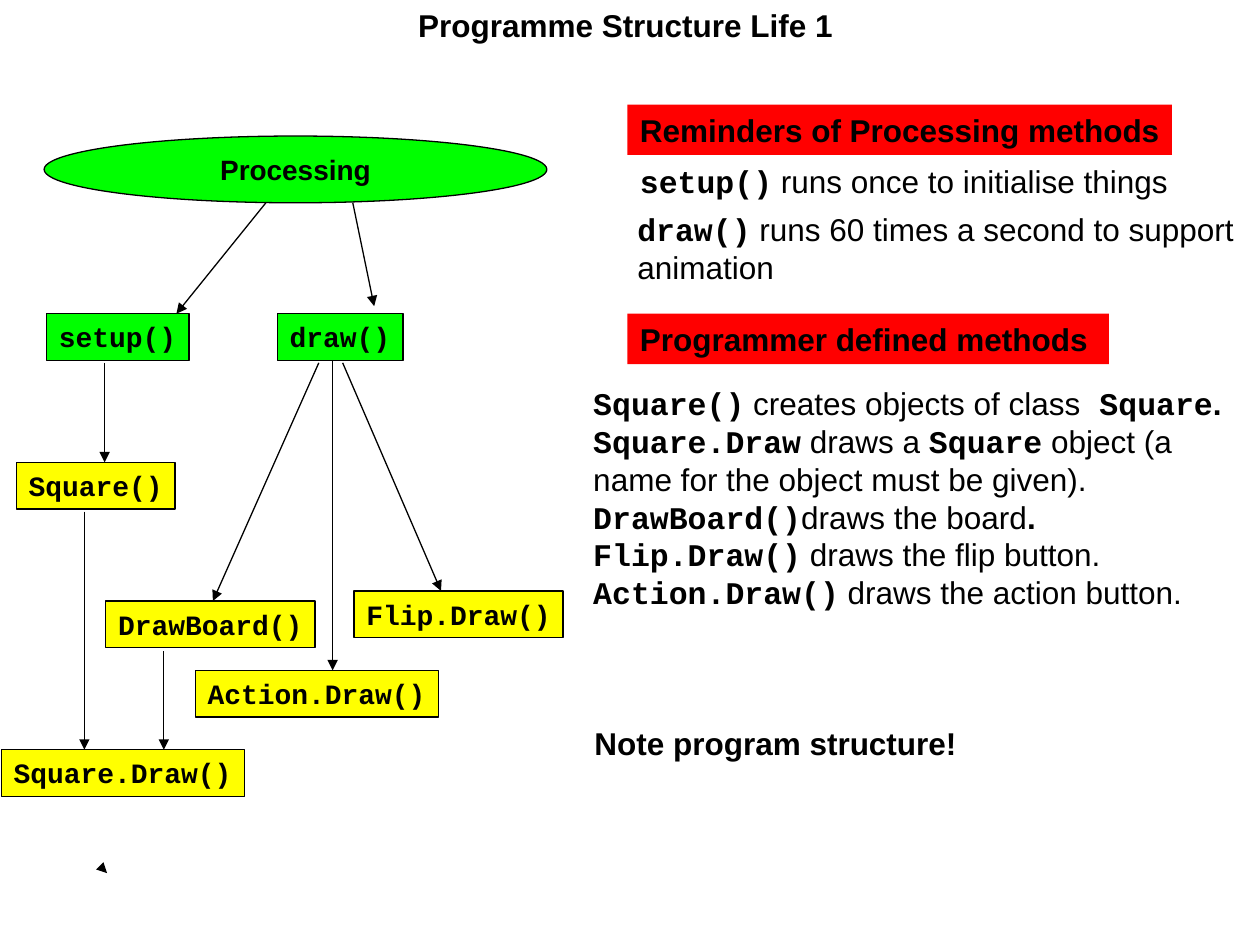
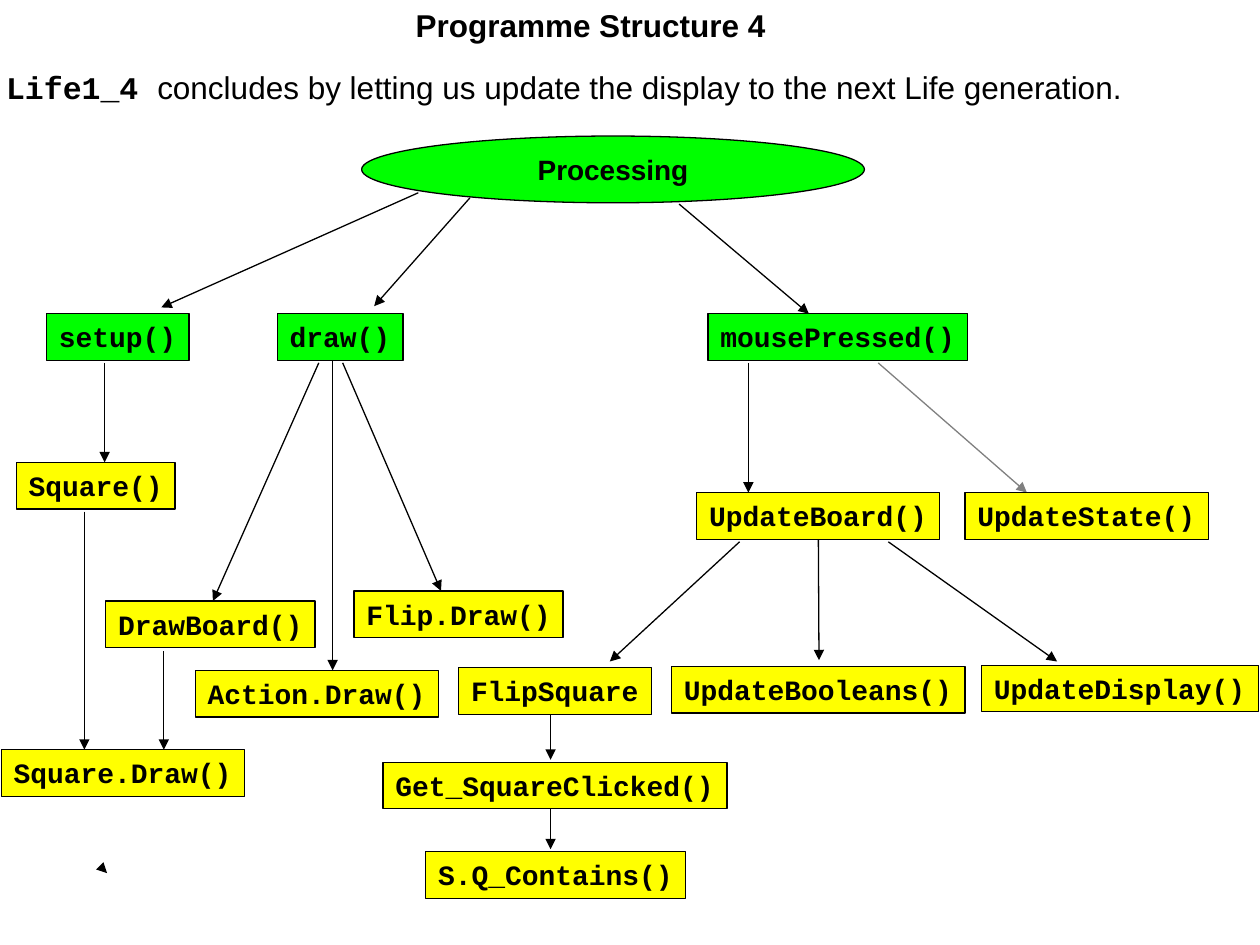
import pptx
import pptx.dml.color
import pptx.enum.shapes
import pptx.enum.text
import pptx.oxml
import pptx.oxml.ns
import pptx.util

PX = 9144  # 100 px to the inch
BLACK, GREY, GREEN, YELLOW, RED = "000000", "808080", "00FF00", "FFFF00", "FF0000"
CODE = ("Courier New", True)
PLAIN = ("Arial", False)
STRONG = ("Arial", True)
SHAPES = pptx.enum.shapes.MSO_SHAPE
NODE_HEIGHT = 37


def emu(*lengths):
    return [length * PX for length in lengths]


def colour(value):
    return pptx.dml.color.RGBColor.from_string(value)


def write(shape, paragraphs, size=18, style=STRONG, align="LEFT", anchor="TOP",
          one_line=True):
    """Fill a shape with text: one string, or paragraphs made of (text, style) spans.

    One-line text gives up its right margin, so that it never breaks in a tight box.
    """
    if isinstance(paragraphs, str):
        paragraphs = [[(paragraphs, style)]]
    frame = shape.text_frame
    frame.word_wrap = True
    frame.auto_size = pptx.enum.text.MSO_AUTO_SIZE.NONE
    frame.vertical_anchor = pptx.enum.text.MSO_ANCHOR[anchor]
    if one_line:
        frame.margin_right = 0
    for index, spans in enumerate(paragraphs):
        para = frame.add_paragraph() if index else frame.paragraphs[0]
        para.alignment = pptx.enum.text.PP_ALIGN[align]
        for text, (font, bold) in spans:
            span = para.add_run()
            span.text = text
            span.font.name = font
            span.font.bold = bold
            span.font.size = pptx.util.Pt(size)
            span.font.color.rgb = colour(BLACK)


def add_text(page, box, paragraphs, **text_format):
    write(page.shapes.add_textbox(*emu(*box)), paragraphs, **text_format)


def add_block(page, box, text, fill, kind=SHAPES.RECTANGLE, outlined=True, **text_format):
    block = page.shapes.add_shape(kind, *emu(*box))
    block.shadow.inherit = False
    block.fill.solid()
    block.fill.fore_color.rgb = colour(fill)
    if outlined:
        block.line.color.rgb = colour(BLACK)
        block.line.width = pptx.util.Pt(0.75)
    else:
        block.line.fill.background()
    write(block, text, **text_format)
    return block


def add_arrow(page, left, top, ends, line=BLACK):
    """Draw an arrow whose ends are measured from (left, top)."""
    start_x, start_y, end_x, end_y = ends
    arrow = page.shapes.add_connector(
        pptx.enum.shapes.MSO_CONNECTOR.STRAIGHT,
        *emu(left + start_x, top + start_y, left + end_x, top + end_y))
    arrow.line.color.rgb = colour(line)
    arrow.line.width = pptx.util.Pt(0.75)
    properties = arrow._element.spPr
    head = pptx.oxml.parse_xml(f'<a:tailEnd {pptx.oxml.ns.nsdecls("a")} type="triangle"/>')
    properties.find(pptx.oxml.ns.qn("a:ln")).append(head)
    properties.append(pptx.oxml.parse_xml(f'<a:effectLst {pptx.oxml.ns.nsdecls("a")}/>'))
    return arrow


def add_methods(page, left, top, methods):
    """Add a box per method, as wide as its name; the top row is called by Processing."""
    boxes = {}
    for name, (x, y) in methods.items():
        width = 20 + len(name) * 40 // 3
        boxes[name] = add_block(page, (left + x, top + y, width, NODE_HEIGHT), name,
                                YELLOW if y else GREEN, size=16, style=CODE)
    return boxes


def add_processing(page, left, top, arrows):
    add_block(page, (left, top, 399, 53), "Processing", GREEN, kind=SHAPES.OVAL,
              size=16, align="CENTER", anchor="MIDDLE", one_line=False)
    for ends in arrows:
        add_arrow(page, left, top, ends)


def add_setup_and_draw(page, left, top):
    for ends in [(264, 32, 264, 283), (253, 39, 169, 228), (272, 39, 350, 220),
                 (83, 39, 83, 118), (67, 157, 67, 346), (130, 268, 130, 346),
                 (84, 443, 85, 444)]:
        add_arrow(page, left, top, ends)
    add_methods(page, left, top, {
        "setup()": (37, 0), "draw()": (220, 0), "Square()": (13, 118),
        "DrawBoard()": (84, 228), "Flip.Draw()": (281, 220),
        "Action.Draw()": (155, 283), "Square.Draw()": (1, 346)})


def add_mouse_pressed(page, left, top):
    for ends in [(133, 386, 133, 425), (133, 315, 133, 354), (290, 39, 290, 142),
                 (283, 181, 180, 276), (401, 181, 535, 276)]:
        add_arrow(page, left, top, ends)
    add_arrow(page, left, top, (393, 39, 511, 142), line=GREY)
    boxes = add_methods(page, left, top, {
        "mousePressed()": (258, 0), "UpdateBoard()": (249, 142),
        "UpdateState()": (462, 142), "FlipSquare": (60, 281),
        "UpdateBooleans()": (229, 280), "UpdateDisplay()": (475, 279),
        "Get_SquareClicked()": (0, 356), "S.Q_Contains()": (34, 427)})
    to_booleans = add_arrow(page, left, top, (346, 179, 346, 275))
    to_booleans.begin_connect(boxes["UpdateBoard()"], 2)


def add_reminders(page, left, top):
    add_block(page, (left, top, 432, 40), "Reminders of Processing methods", RED,
              outlined=False)
    add_text(page, (left, top + 41, 439, 40),
             [[("setup()", CODE), (" runs once to initialise things", PLAIN)]])
    add_text(page, (left - 2, top + 79, 504, 70),
             [[("draw()", CODE), (" runs 60 times a second to support animation", PLAIN)]],
             one_line=False)


def add_defined_methods(page, left, top):
    add_block(page, (left + 37, top, 382, 40), "Programmer defined methods", RED,
              outlined=False)
    add_text(page, (left, top + 51, 535, 220), [
        [("Square()", CODE), (" creates objects of class", PLAIN), (" Square", CODE),
         (". ", STRONG), ("Square.Draw", CODE), (" draws a ", PLAIN), ("Square", CODE),
         (" object (a name for the object must be given).", PLAIN)],
        [("DrawBoard()", CODE), ("draws the board", PLAIN), (".", STRONG)],
        [("Flip.Draw()", CODE), (" draws the flip button.", PLAIN)],
        [("Action.Draw()", CODE), (" draws the action button.", PLAIN)]], one_line=False)
    add_text(page, (left + 1, top + 321, 307, 40), "Note program structure!")


def add_page(deck, title, left, width):
    """Start a page with its title and the branches that both pages show."""
    page = deck.slides.add_slide(deck.slide_layouts[6])
    add_text(page, (left, 0, width, 40), title)
    add_setup_and_draw(page, 0, 249)
    return page


def build_life_1(deck):
    page = add_page(deck, "Programme Structure Life 1", 322, 349)
    add_processing(page, 35, 108, [(176, 53, 105, 141), (245, 53, 262, 135)])
    add_reminders(page, 498, 83)
    add_defined_methods(page, 461, 249)


def build_structure_4(deck):
    page = add_page(deck, "Programme Structure 4", 320, 298)
    add_text(page, (-5, 49, 906, 40), [[
        ("Life1_4 ", CODE),
        ("concludes by letting us update the display to the next Life generation.", PLAIN)]])
    add_processing(page, 287, 108, [(45, 45, -159, 136), (86, 49, 10, 135),
                                    (252, 54, 355, 141)])
    add_mouse_pressed(page, 304, 249)


def main():
    deck = pptx.Presentation()
    deck.slide_width, deck.slide_height = emu(1000, 750)
    build_life_1(deck)
    build_structure_4(deck)
    deck.save("out.pptx")


if __name__ == "__main__":
    main()
